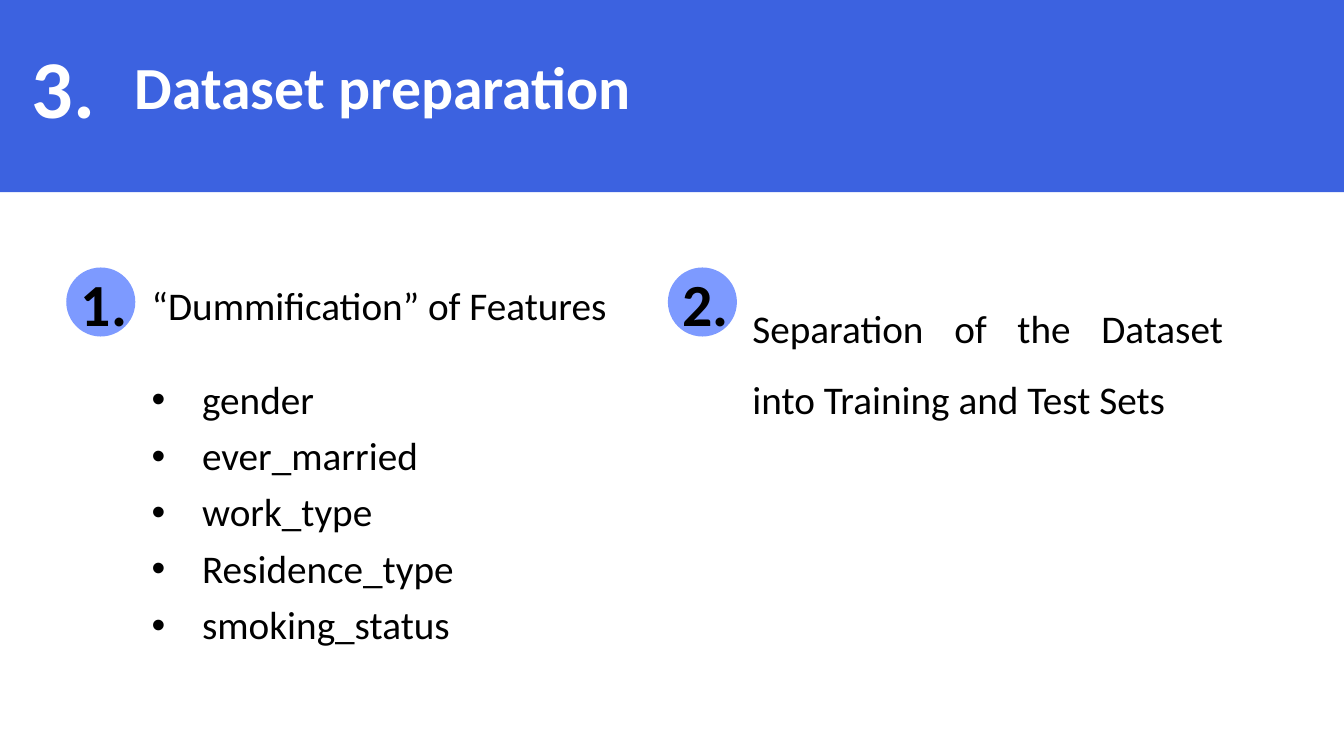
from dataclasses import dataclass

from lxml import etree
from pptx import Presentation
from pptx.dml.color import RGBColor
from pptx.enum.shapes import MSO_SHAPE
from pptx.enum.text import PP_ALIGN
from pptx.oxml.ns import qn
from pptx.util import Pt

RECT, OVAL = MSO_SHAPE.RECTANGLE, MSO_SHAPE.OVAL
LEFT, JUSTIFY = PP_ALIGN.LEFT, PP_ALIGN.JUSTIFY


@dataclass(frozen=True)
class Theme:
    font: str = "Calibri"
    band: RGBColor = RGBColor(0x3C, 0x62, 0xE0)
    badge: RGBColor = RGBColor(0x7D, 0x9A, 0xFF)
    light: RGBColor = RGBColor(0xFF, 0xFF, 0xFF)
    dark: RGBColor = RGBColor(0, 0, 0)
    section: float = 44
    title: float = 32
    number: float = 32
    body: float = 21


class SlideBuilder:
    def __init__(self, slide, theme):
        self.s = slide
        self.t = theme

    def shape(self, kind, x, y, w, h, color):
        sp = self.s.shapes.add_shape(kind, Pt(x), Pt(y), Pt(w), Pt(h))
        sp.shadow.inherit = False
        sp.fill.solid()
        sp.fill.fore_color.rgb = color
        sp.line.fill.background()

    def style(self, p, size, color, bold=False, align=LEFT):
        p.alignment = align
        for r in p.runs:
            r.font.name = self.t.font
            r.font.size = Pt(size)
            r.font.bold = bold
            r.font.color.rgb = color

    def text(self, text, x, y, w, h, size, color, bold=False, align=LEFT, inset=7.2):
        sp = self.s.shapes.add_textbox(Pt(x), Pt(y), Pt(w), Pt(h))
        tf = sp.text_frame
        tf.word_wrap = True
        tf.margin_left = tf.margin_right = Pt(7.2)
        tf.margin_top = tf.margin_bottom = Pt(inset)
        tf.text = text
        self.style(tf.paragraphs[0], size, color, bold, align)
        return tf

    def heading(self, text, x, y, w, h, size):
        self.text(text, x, y, w, h, size, self.t.light, bold=True, inset=3.6)

    def badge(self, number, x, y):
        self.shape(OVAL, x, y, 37, 37, self.t.badge)
        self.text(number, x + 0.7, y - 7.5, 42.5, 37, self.t.number,
                  self.t.dark, bold=True, align=JUSTIFY)

    def body(self, text, x, y, align=LEFT):
        return self.text(text, x, y, 266.4, 28.8, self.t.body, self.t.dark, align=align)

    def bullets(self, tf, items, indent=27, gap=25.6):
        for i, item in enumerate(items):
            p = tf.add_paragraph()
            p.text = item
            self.style(p, self.t.body, self.t.dark)
            p.space_before = Pt(7.5 if i else gap)
            p.line_spacing = 0.9 if i else 1.0
            pPr = p._p.get_or_add_pPr()
            pPr.set("marL", str(Pt(indent)))
            pPr.set("indent", str(-Pt(indent)))
            etree.SubElement(pPr, qn("a:buFont"), typeface="Arial")
            etree.SubElement(pPr, qn("a:buChar"), char="•")


def main():
    prs = Presentation()
    prs.slide_width, prs.slide_height = Pt(720), Pt(405)
    theme = Theme()
    b = SlideBuilder(prs.slides.add_slide(prs.slide_layouts[6]), theme)

    b.shape(RECT, 0, 0, 720, 103, theme.band)
    b.heading("3.", 10, 16, 60, 60.5, theme.section)
    b.heading("Dataset preparation", 65, 23, 424, 46, theme.title)

    top = 143.3
    b.badge("1.", 35.5, top)
    features = b.body("“Dummification” of Features", 74.2, top)
    b.bullets(features, ["gender", "ever_married", "work_type",
                         "Residence_type", "smoking_status"])

    b.badge("2.", 357.8, top)
    split = b.body("Separation of the Dataset into Training and Test Sets",
                   396, top, align=JUSTIFY)
    p = split.paragraphs[0]
    p.line_spacing = 1.5
    p.space_before = Pt(7.5)

    prs.save("out.pptx")


if __name__ == "__main__":
    main()
